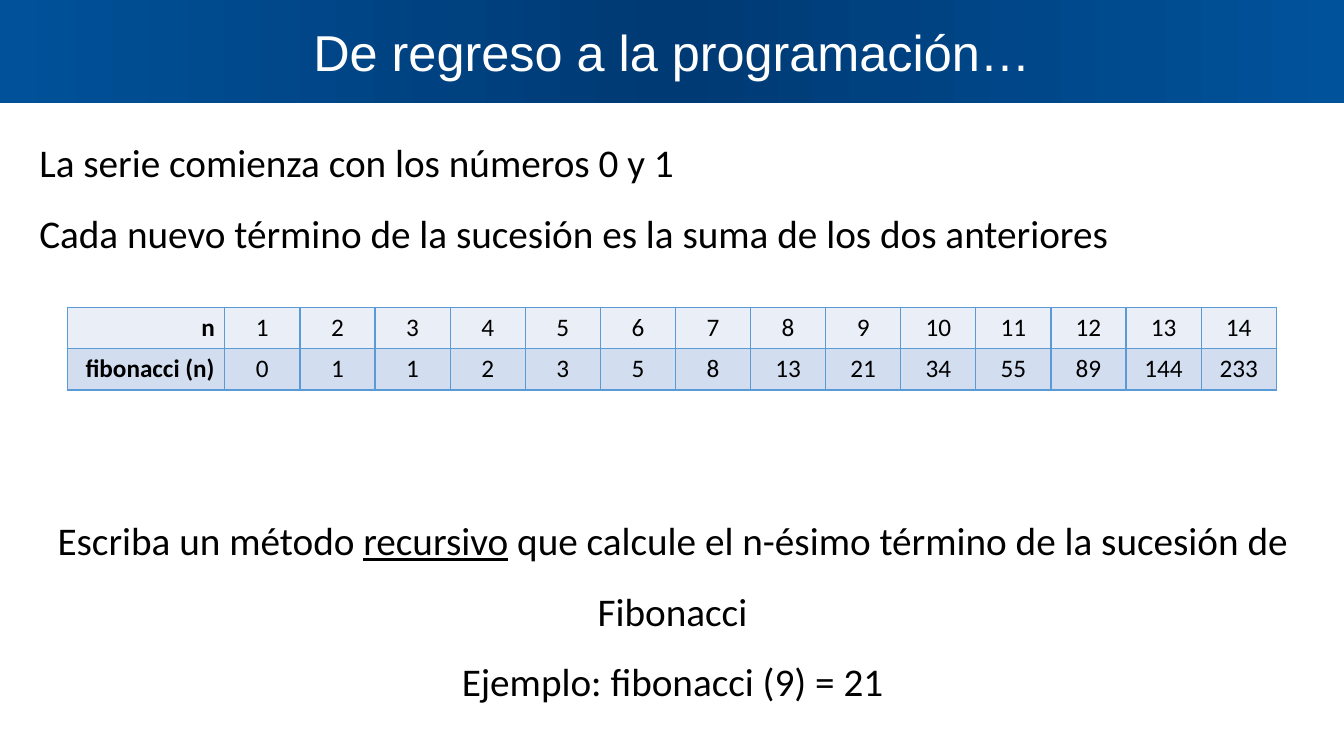
from copy import deepcopy
from dataclasses import dataclass

from lxml import etree
from pptx import Presentation
from pptx import util as u
from pptx.dml.color import RGBColor
from pptx.enum import shapes, text
from pptx.oxml import ns

WHITE = RGBColor(0xFF, 0xFF, 0xFF)
BLACK = RGBColor(0, 0, 0)
GRID = RGBColor(0x5B, 0x9B, 0xD5)
INDEX_ROW = RGBColor(0xEA, 0xEF, 0xF7)
TERM_ROW = RGBColor(0xD2, 0xDE, 0xEF)
BANNER = (
    RGBColor(0x00, 0x52, 0x9B),
    RGBColor(0x00, 0x3A, 0x74),
    RGBColor(0x00, 0x51, 0x99),
)
LABEL_WIDTH, TABLE_WIDTH, ROW_HEIGHT = 1.56, 11.99, 0.41


@dataclass(frozen=True)
class Span:
    wording: str
    underline: bool = False


@dataclass(frozen=True)
class Passage:
    left: float
    top: float
    width: float
    height: float
    align: text.PP_ALIGN
    paragraphs: tuple[tuple[Span, ...], ...]


@dataclass(frozen=True)
class Series:
    label: str
    values: tuple[int, ...]
    fill: RGBColor


def fibonacci(count: int) -> tuple[int, ...]:
    terms = [0, 1]
    while len(terms) < count:
        terms.append(terms[-1] + terms[-2])
    return tuple(terms)


PASSAGES = (
    Passage(0.39, 1.14, 12.55, 1.34, text.PP_ALIGN.LEFT, (
        (Span("La serie comienza con los números 0 y 1"),),
        (Span("Cada nuevo término de la sucesión es la suma de los dos anteriores"),),
    )),
    Passage(0.16, 4.89, 13.02, 2.05, text.PP_ALIGN.CENTER, (
        (
            Span("Escriba un método "),
            Span("recursivo", underline=True),
            Span(" que calcule el n-ésimo término de la sucesión de Fibonacci"),
        ),
        (Span("Ejemplo: fibonacci (9) = 21"),),
    )),
)
SERIES = (
    Series("n", tuple(range(1, 15)), INDEX_ROW),
    Series("fibonacci (n)", fibonacci(14), TERM_ROW),
)


def set_font(paragraph, name: str, size: int, color: RGBColor, bold: bool = False) -> None:
    font = paragraph.font
    font.name, font.size, font.bold = name, u.Pt(size), bold
    font.color.rgb = color


def draw_banner(slide, title: str) -> None:
    banner = slide.shapes.add_shape(
        shapes.MSO_SHAPE.RECTANGLE, 0, 0, u.Inches(13.33), u.Inches(1.02))
    banner.shadow.inherit = False
    banner.line.fill.background()
    banner.fill.gradient()
    banner.fill.gradient_angle = 180
    stops = banner._element.spPr.find(".//" + ns.qn("a:gsLst"))
    stops.insert(1, deepcopy(stops[0]))
    for index, (stop, color) in enumerate(zip(banner.fill.gradient_stops, BANNER)):
        stop.position = index / 2
        stop.color.rgb = color
    frame = banner.text_frame
    frame.vertical_anchor = text.MSO_ANCHOR.MIDDLE
    heading = frame.paragraphs[0]
    heading.text = title
    heading.alignment = text.PP_ALIGN.CENTER
    set_font(heading, "Arial", 36, WHITE)


def draw_passage(slide, passage: Passage) -> None:
    frame = slide.shapes.add_textbox(
        u.Inches(passage.left), u.Inches(passage.top),
        u.Inches(passage.width), u.Inches(passage.height)).text_frame
    frame.word_wrap = True
    frame.auto_size = text.MSO_AUTO_SIZE.SHAPE_TO_FIT_TEXT
    frame.margin_left = frame.margin_right = frame.margin_top = frame.margin_bottom = 0
    for index, spans in enumerate(passage.paragraphs):
        paragraph = frame.add_paragraph() if index else frame.paragraphs[0]
        paragraph.alignment = passage.align
        paragraph.line_spacing = 1.5
        set_font(paragraph, "Calibri", 28, BLACK)
        for span in spans:
            run = paragraph.add_run()
            run.text = span.wording
            if span.underline:
                run.font.underline = True


def add_borders(cell) -> None:
    properties = cell._tc.get_or_add_tcPr()
    for side in ("a:lnL", "a:lnR", "a:lnT", "a:lnB"):
        line = etree.SubElement(properties, ns.qn(side), w=str(u.Pt(1)))
        fill = etree.SubElement(line, ns.qn("a:solidFill"))
        etree.SubElement(fill, ns.qn("a:srgbClr"), val=str(GRID))


def draw_table(slide, rows: tuple[Series, ...]) -> None:
    count = len(rows[0].values)
    table = slide.shapes.add_table(
        len(rows), count + 1, u.Inches(0.67), u.Inches(3.05),
        u.Inches(TABLE_WIDTH), u.Inches(ROW_HEIGHT * len(rows))).table
    table.first_row = table.horz_banding = False
    for index, column in enumerate(table.columns):
        column.width = u.Inches((TABLE_WIDTH - LABEL_WIDTH) / count if index else LABEL_WIDTH)
    for row, series in zip(table.rows, rows):
        row.height = u.Inches(ROW_HEIGHT)
        for index, (cell, value) in enumerate(zip(row.cells, (series.label, *series.values))):
            add_borders(cell)
            cell.fill.solid()
            cell.fill.fore_color.rgb = series.fill
            entry = cell.text_frame.paragraphs[0]
            entry.text = str(value)
            entry.alignment = text.PP_ALIGN.CENTER if index else text.PP_ALIGN.RIGHT
            set_font(entry, "Calibri", 18, BLACK, bold=index == 0)


def main() -> None:
    presentation = Presentation()
    presentation.slide_width = u.Inches(13.33)
    presentation.slide_height = u.Inches(7.5)
    slide = presentation.slides.add_slide(presentation.slide_layouts[6])
    draw_banner(slide, "De regreso a la programación…")
    opening, exercise = PASSAGES
    draw_passage(slide, opening)
    draw_table(slide, SERIES)
    draw_passage(slide, exercise)
    presentation.save("out.pptx")


if __name__ == "__main__":
    main()
